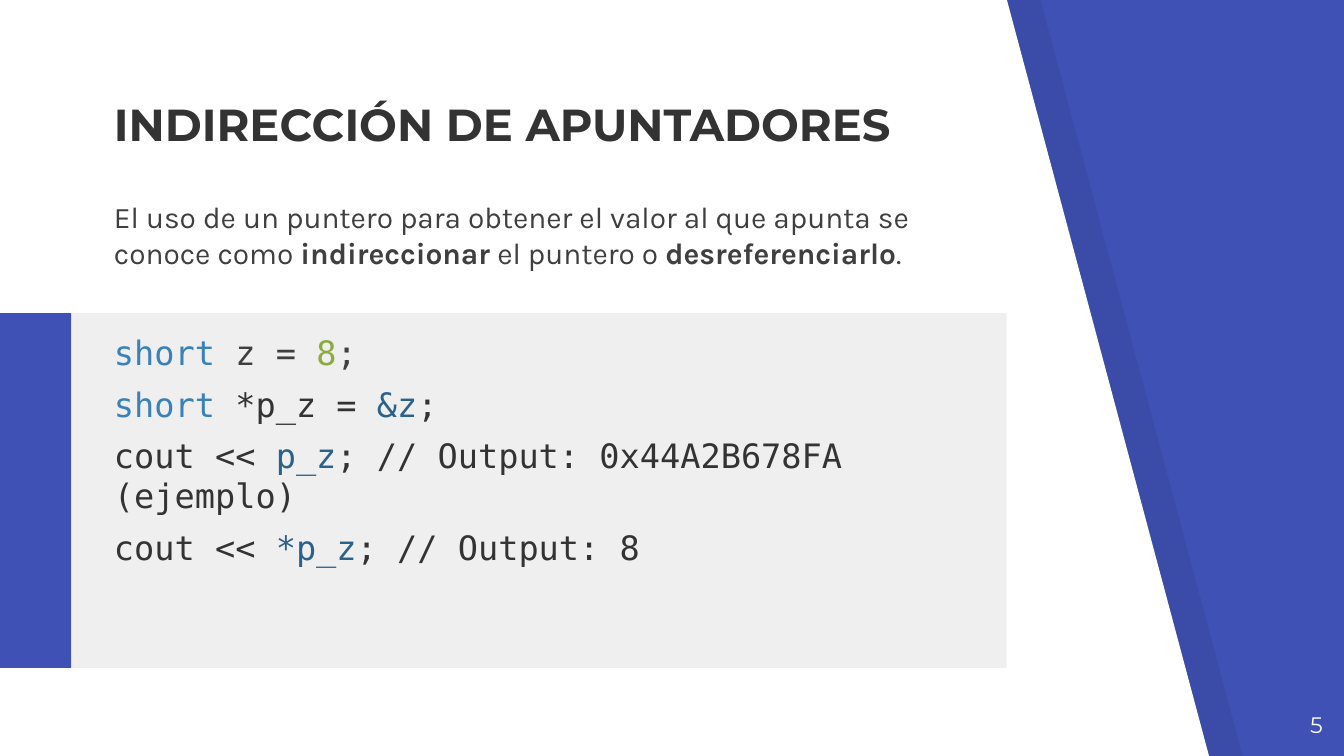
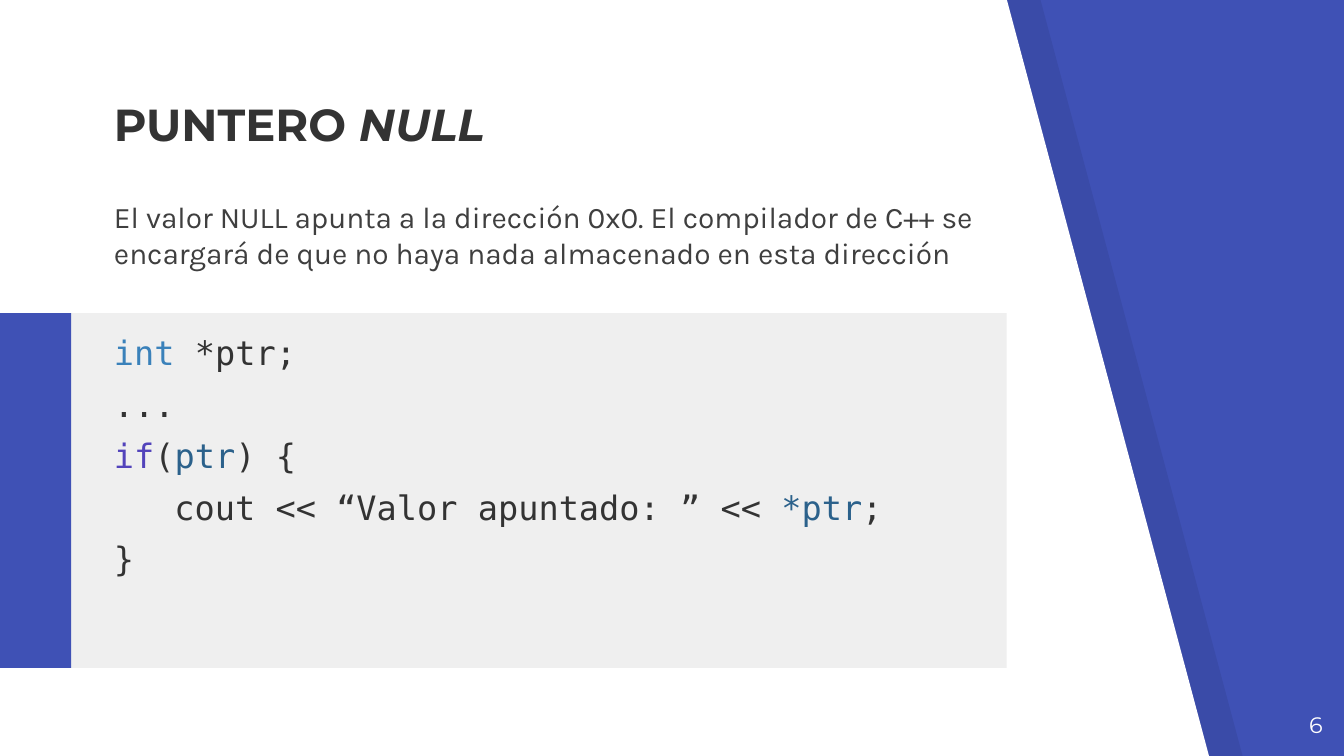
from lxml import etree
from pptx import Presentation
from pptx import util as u
from pptx.dml import color
from pptx.enum import shapes, text
from pptx.oxml import ns

WIDTH = 10
HEIGHT = WIDTH * 9 / 16
INDIGO, WHITE, BLACK, PALE = "3F51B5", "FFFFFF", "000000", "EFEFEF"
DARK, GREY = "333333", "3F3F3F"
TYPE, POINTER, NUMBER, KEYWORD = "3A81BA", "2B618B", "8BAB42", "5243BB"

TITLE_BOX = (0.75, 0.77, 6.73, 0.45)
BODY_BOX = (0.75, 1.38, 6.73, 0.94)
CODE_BOX = (0.75, 2.37, 6.73, 2.34)
NUMBER_BOX = (9.34, 5.19, 0.6, 0.43)
CODE_INDENT = 0.45


def set_fill(fill, hex_color, alpha=None):
    fill.solid()
    fill.fore_color.rgb = color.RGBColor.from_string(hex_color)
    if alpha is not None:
        element = fill._xPr.find(".//" + ns.qn("a:srgbClr"))
        etree.SubElement(element, ns.qn("a:alpha")).set("val", str(alpha * 1000))


def finish_shape(shape, hex_color, alpha=None):
    set_fill(shape.fill, hex_color, alpha)
    shape.line.fill.background()
    shape.shadow.inherit = False


def add_rectangle(slide, box, hex_color):
    shape = slide.shapes.add_shape(
        shapes.MSO_SHAPE.RECTANGLE, *(u.Inches(value) for value in box))
    finish_shape(shape, hex_color)


def add_slanted_panel(slide, left, hex_color, alpha=None):
    points = [(0, -0.01), (0, 5.64), (9, 5.64), (7.49, -0.01)]
    corners = [(u.Inches(left + x), u.Inches(y)) for x, y in points]
    builder = slide.shapes.build_freeform(*corners[0])
    builder.add_line_segments(corners[1:], close=True)
    finish_shape(builder.convert_to_shape(), hex_color, alpha)


def add_text(slide, box, lines, *, font, size, hex_color, bold=False, before=0,
             align=text.PP_ALIGN.LEFT, anchor=text.MSO_ANCHOR.TOP, indents=None):
    shape = slide.shapes.add_textbox(*(u.Inches(value) for value in box))
    frame = shape.text_frame
    frame.word_wrap = True
    frame.vertical_anchor = anchor
    frame.margin_left = frame.margin_right = u.Inches(0.1)
    frame.margin_top = frame.margin_bottom = u.Inches(0.1)
    for index, line in enumerate(lines):
        paragraph = frame.add_paragraph() if index else frame.paragraphs[0]
        paragraph.alignment = align
        paragraph.space_before = u.Pt(before)
        if indents and index in indents:
            paragraph._p.get_or_add_pPr().set("marL", str(u.Inches(indents[index])))
        for content, changes in line:
            run = paragraph.add_run()
            run.text = content
            run.font.name = font
            run.font.size = u.Pt(size)
            run.font.bold = changes.get("bold", bold)
            run.font.italic = changes.get("italic", False)
            set_fill(run.font.fill, changes.get("hex_color", hex_color))


def plain(content):
    return content, {}


def strong(content):
    return content, {"bold": True}


def tinted(content, hex_color):
    return content, {"hex_color": hex_color}


def add_code_slide(presentation, number, title, body, code, indents=None):
    slide = presentation.slides.add_slide(presentation.slide_layouts[6])
    set_fill(slide.background.fill, INDIGO)
    add_slanted_panel(slide, 0.25, BLACK, alpha=7)
    add_slanted_panel(slide, 0, WHITE)
    add_rectangle(slide, (0.03, 2.33, 7.46, 2.64), PALE)
    add_rectangle(slide, (0, 2.33, 0.53, 2.64), INDIGO)
    add_text(slide, BODY_BOX, [body], font="Karla", size=16, hex_color=GREY, before=6)
    add_text(slide, NUMBER_BOX, [[plain(str(number))]], font="Montserrat", size=12,
             hex_color=WHITE, align=text.PP_ALIGN.RIGHT)
    add_text(slide, TITLE_BOX, [title], font="Montserrat", size=24, hex_color=DARK,
             bold=True, anchor=text.MSO_ANCHOR.BOTTOM)
    add_text(slide, CODE_BOX, code, font="DejaVu Sans Mono", size=18, hex_color=DARK,
             before=6, indents=indents)


def main():
    presentation = Presentation()
    presentation.slide_width = u.Inches(WIDTH)
    presentation.slide_height = u.Inches(HEIGHT)
    add_code_slide(
        presentation, 5,
        title=[plain("INDIRECCIÓN DE APUNTADORES")],
        body=[
            plain("El uso de un puntero para obtener el valor al que apunta se conoce como "),
            strong("indireccionar"), plain(" el puntero o "),
            strong("desreferenciarlo"), plain("."),
        ],
        code=[
            [tinted("short", TYPE), tinted(" z = ", GREY), tinted("8", NUMBER),
             tinted(";", GREY)],
            [tinted("short ", TYPE), plain("*p_z = "), tinted("&z", POINTER), plain(";")],
            [plain("cout << "), tinted("p_z", POINTER),
             plain("; // Output: 0x44A2B678FA (ejemplo)")],
            [plain("cout << "), tinted("*p_z", POINTER), plain("; // Output: 8")],
        ])
    add_code_slide(
        presentation, 6,
        title=[plain("PUNTERO "), ("NULL", {"italic": True})],
        body=[plain("El valor NULL apunta a la dirección 0x0. El compilador de C++ se "
                    "encargará de que no haya nada almacenado en esta dirección")],
        code=[
            [tinted("int ", TYPE), plain("*ptr;")],
            [plain("...")],
            [tinted("if", KEYWORD), plain("("), tinted("ptr", POINTER), plain(") {")],
            [plain("cout << “Valor apuntado: ” << "), tinted("*ptr", POINTER), plain(";")],
            [plain("}")],
        ],
        indents={3: CODE_INDENT})
    presentation.save("out.pptx")


if __name__ == "__main__":
    main()
